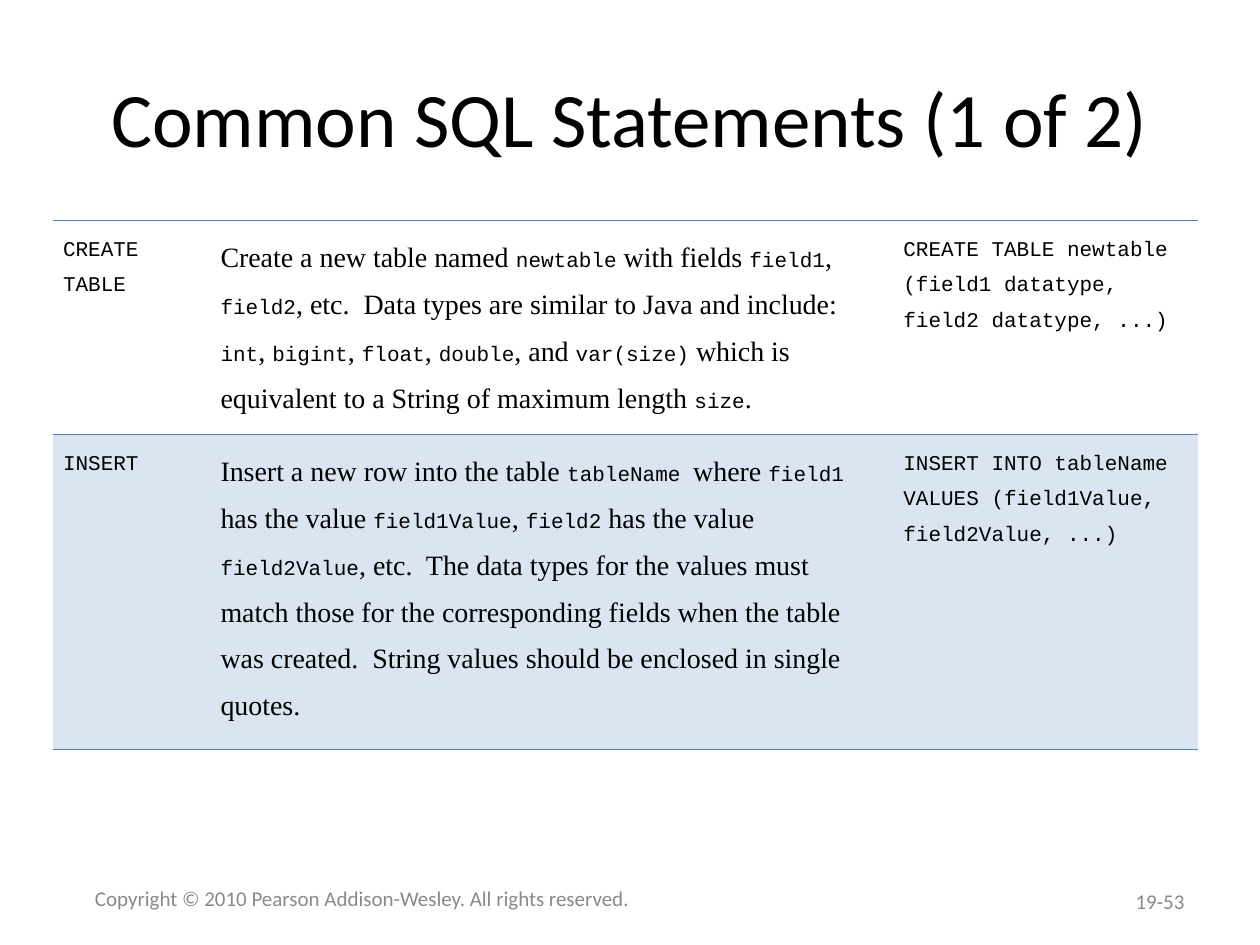
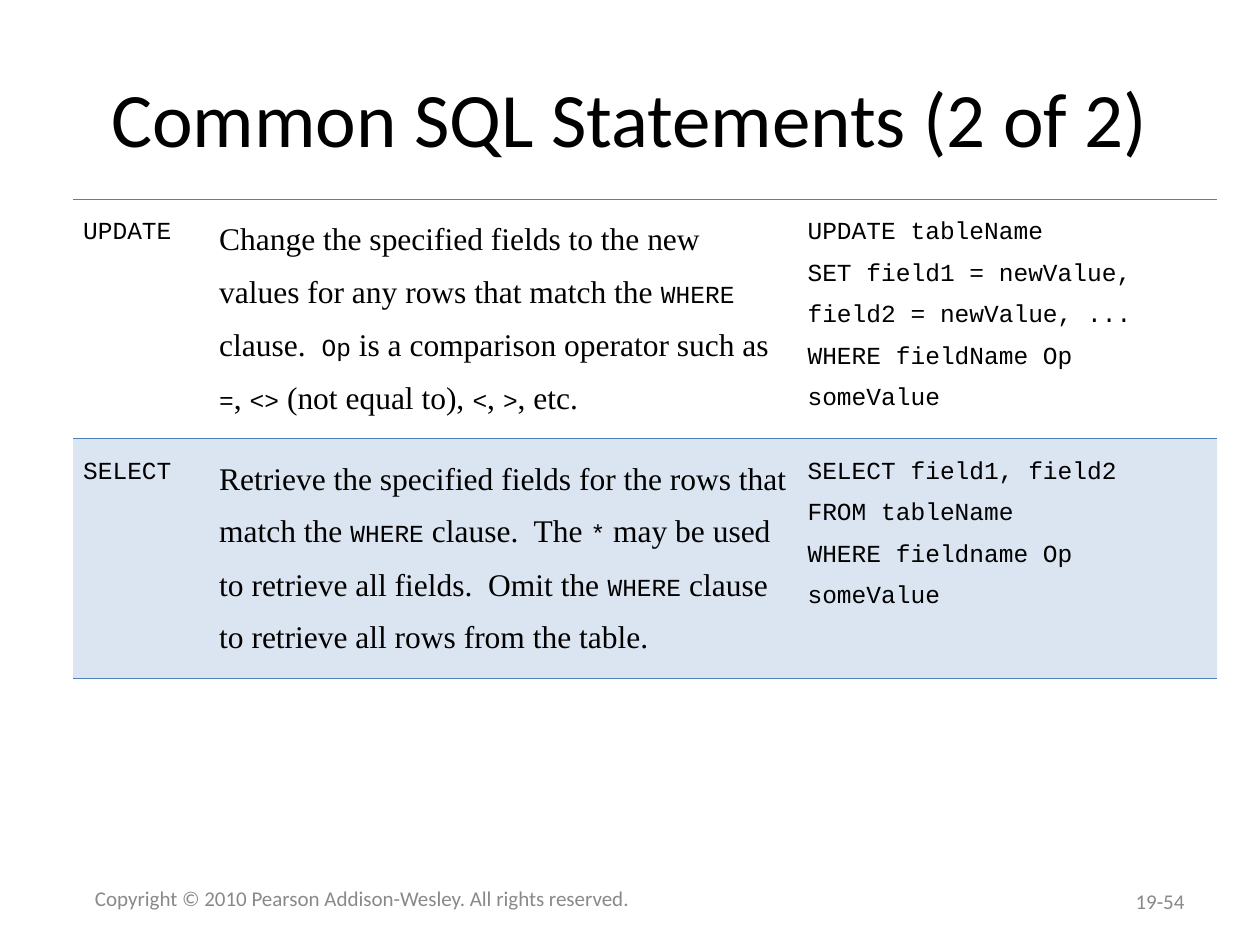
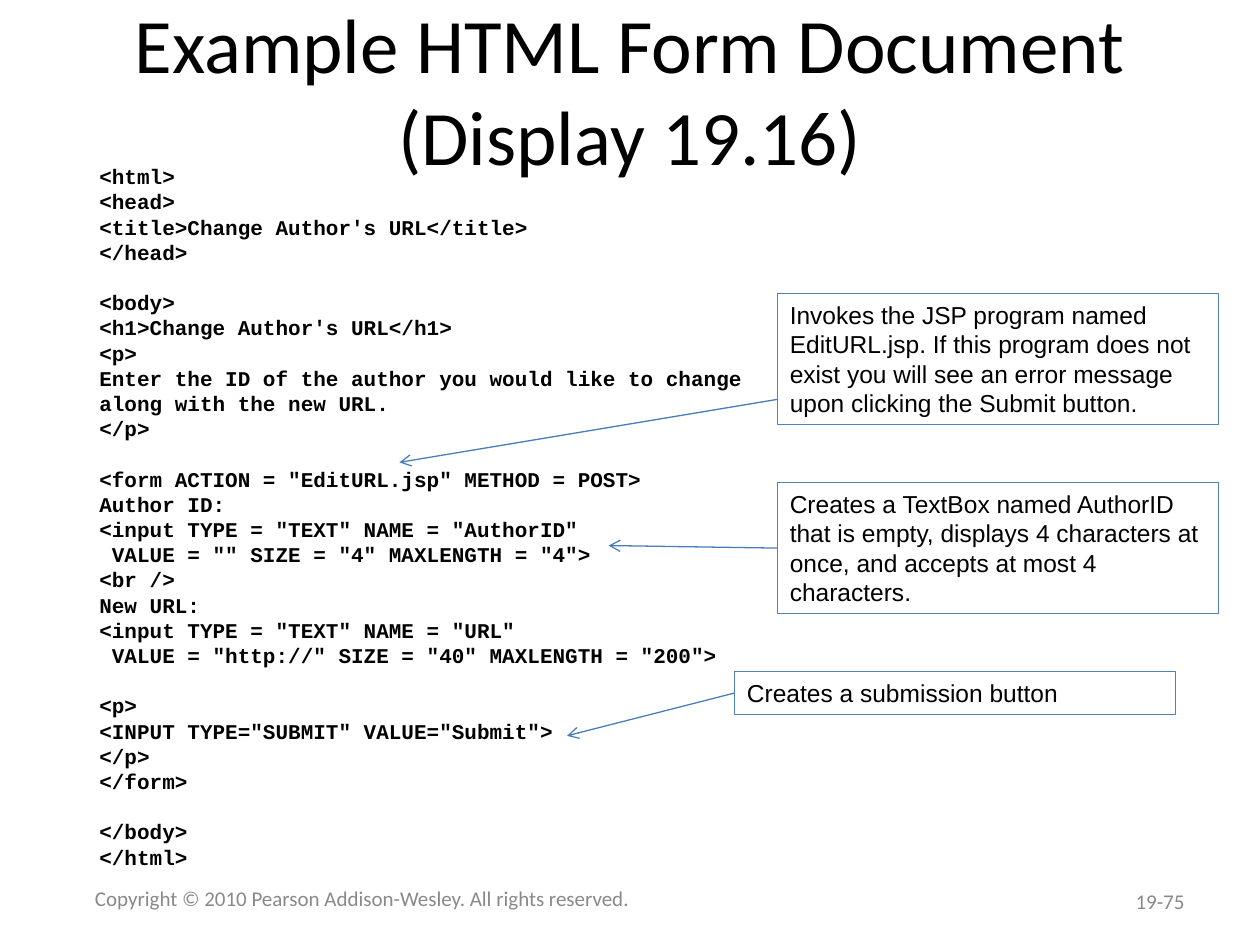
from dataclasses import dataclass
from typing import Any

from lxml.etree import SubElement
from pptx import Presentation
from pptx.dml.color import RGBColor
from pptx.enum.shapes import MSO_CONNECTOR, MSO_SHAPE
from pptx.enum.text import MSO_ANCHOR, MSO_AUTO_SIZE, PP_ALIGN
from pptx.oxml import parse_xml
from pptx.oxml.ns import nsdecls, qn
from pptx.util import Inches, Pt

BLACK = RGBColor(0x00, 0x00, 0x00)
GRAY = RGBColor(0x89, 0x89, 0x89)
BLUE = RGBColor(0x4F, 0x81, 0xBD)
ARROW_BLUE = RGBColor(0x4A, 0x7E, 0xBB)

TITLE_FONT = {"name": "Calibri", "size": Pt(44)}
FOOTER_FONT = {"name": "Calibri", "size": Pt(12)}
CODE_FONT = {"name": "Courier New", "size": Pt(12), "bold": True}
CALLOUT_FONT = {"name": "Arial", "size": Pt(14)}

COPYRIGHT = "Copyright © 2010 Pearson Addison-Wesley. All rights reserved."
NO_TABLE_STYLE = "{2D5ABB26-0587-4C30-8999-92F81FD0307C}"
CODE_LINE_HEIGHT = Pt(14.4)
LEFT_SIDE = 1


@dataclass
class StatementTable:
    """SQL statements as rows; text between backticks is code."""
    left: float
    top: float
    column_widths: list[float]
    row_heights: list[float]
    code_size: int
    text_size: int
    rows: list[list[str]]


@dataclass
class Callout:
    left: float
    top: float
    height: float
    text: str
    target: tuple[float, float]
    arrow_start: tuple[float, float] | None = None  # None: middle of the left side


CREATE_AND_INSERT = StatementTable(
    left=0.42, top=1.75, column_widths=[1.25, 5.42, 2.42], row_heights=[1.6, 2.4],
    code_size=12, text_size=16,
    rows=[
        ["`CREATE TABLE`",
         "Create a new table named `newtable` with fields `field1`, `field2`, etc.  Data types "
         "are similar to Java and include: `int`, `bigint`, `float`, `double`, and `var(size)` "
         "which is equivalent to a String of maximum length `size`.",
         "`CREATE TABLE newtable\n(field1 datatype, field2 datatype, ...)`"],
        ["`INSERT`",
         "Insert a new row into the table `tableName `where `field1` has the value "
         "`field1Value`, `field2` has the value `field2Value`, etc.  The data types for the "
         "values must match those for the corresponding fields when the table was created.  "
         "String values should be enclosed in single quotes.",
         "`INSERT INTO tableName\nVALUES (field1Value, field2Value, ...)`"],
    ])

UPDATE_AND_SELECT = StatementTable(
    left=0.58, top=1.58, column_widths=[1.08, 4.67, 3.33], row_heights=[1.8, 1.8],
    code_size=14, text_size=18,
    rows=[
        ["`UPDATE`",
         "Change the specified fields to the new values for any rows that match the `WHERE` "
         "clause.  `Op` is a comparison operator such as `=`, `<>` (not equal to), `<`, `>`, etc.",
         "`UPDATE tableName\nSET field1 = newValue, field2 = newValue, ...\n"
         "WHERE fieldName Op someValue`"],
        ["`SELECT`",
         "Retrieve the specified fields for the rows that match the `WHERE` clause.  The `*` "
         "may be used to retrieve all fields.  Omit the `WHERE` clause to retrieve all rows "
         "from the table.",
         "`SELECT field1, field2\nFROM tableName\nWHERE fieldname Op someValue`"],
    ])

FORM_CODE = """\
<html>
<head>
<title>Change Author's URL</title>
</head>

<body>
<h1>Change Author's URL</h1>
<p>
Enter the ID of the author you would like to change
along with the new URL.
</p>

<form ACTION = "EditURL.jsp" METHOD = POST>
Author ID:
<input TYPE = "TEXT" NAME = "AuthorID"
 VALUE = "" SIZE = "4" MAXLENGTH = "4">
<br />
New URL:
<input TYPE = "TEXT" NAME = "URL"
 VALUE = "http://" SIZE = "40" MAXLENGTH = "200">

<p>
<INPUT TYPE="SUBMIT" VALUE="Submit">
</p>
</form>

</body>
</html>"""

CALLOUTS = [
    Callout(6.17, 2.33, 1.04,
            "Invokes the JSP program named EditURL.jsp. If this program does not exist you "
            "will see an error message upon clicking the Submit button.",
            target=(3.17, 3.67), arrow_start=(6.17, 3.17)),
    Callout(6.17, 3.83, 1.04,
            "Creates a TextBox named AuthorID that is empty, displays 4 characters at once, "
            "and accepts at most 4 characters.",
            target=(4.83, 4.33)),
    Callout(5.83, 5.33, 0.34, "Creates a submission button", target=(4.5, 5.84)),
]


def set_font(font, formats: dict[str, Any], color: RGBColor = BLACK) -> None:
    for attribute, value in formats.items():
        setattr(font, attribute, value)
    font.color.rgb = color


def add_footer_text(slide, text: str, left: float, top: float, width: float, alignment) -> None:
    box = slide.shapes.add_textbox(Inches(left), Inches(top), Inches(width), Inches(0.4))
    frame = box.text_frame
    frame.word_wrap = True
    frame.vertical_anchor = MSO_ANCHOR.MIDDLE
    paragraph = frame.paragraphs[0]
    paragraph.text = text
    paragraph.alignment = alignment
    set_font(paragraph.font, FOOTER_FONT, GRAY)


def add_slide(presentation, title_text: str, page: str, title_top: float = 0.3):
    """Add a slide with its title, copyright line and page number."""
    slide = presentation.slides.add_slide(presentation.slide_layouts[5])
    title = slide.shapes.title
    title.left, title.top = Inches(0.5), Inches(title_top)
    title.width, title.height = Inches(9), Inches(1.25)
    frame = title.text_frame
    frame.auto_size = MSO_AUTO_SIZE.NONE
    frame.vertical_anchor = MSO_ANCHOR.MIDDLE
    paragraph = frame.paragraphs[0]
    paragraph.text = title_text
    paragraph.alignment = PP_ALIGN.CENTER
    set_font(paragraph.font, TITLE_FONT)
    add_footer_text(slide, page, 7.17, 6.95, 2.33, PP_ALIGN.RIGHT)
    add_footer_text(slide, COPYRIGHT, 0.5, 6.93, 4.75, PP_ALIGN.CENTER)
    return slide


def add_marked_text(paragraph, text: str, code_size: int, text_size: int) -> None:
    """Add runs, setting the parts between backticks as code."""
    for index, part in enumerate(text.split("`")):
        if not part:
            continue
        if index % 2:
            formats = {"name": "Courier New", "size": Pt(code_size)}
        else:
            formats = {"name": "Times New Roman", "size": Pt(text_size)}
        for line_number, line in enumerate(part.split("\n")):
            if line_number:
                paragraph.add_line_break()
            run = paragraph.add_run()
            run.text = line
            set_font(run.font, formats)


def format_cell(cell, shaded: bool) -> None:
    cell.margin_left = cell.margin_right = Inches(0.08)
    cell.margin_top = cell.margin_bottom = Inches(0.05)
    properties = cell._tc.get_or_add_tcPr()
    for side in ("lnT", "lnB"):
        properties.append(parse_xml(
            f'<a:{side} {nsdecls("a")} w="{Pt(0.45)}"><a:solidFill>'
            f'<a:srgbClr val="{BLUE}"/></a:solidFill></a:{side}>'))
    if shaded:
        cell.fill.solid()
        cell.fill.fore_color.rgb = BLUE
        color = properties.find(qn("a:solidFill")).find(qn("a:srgbClr"))
        SubElement(color, qn("a:alpha"), val="20000")
    else:
        cell.fill.background()


def add_statement_table(slide, content: StatementTable) -> None:
    table = slide.shapes.add_table(
        len(content.row_heights), len(content.column_widths),
        Inches(content.left), Inches(content.top),
        Inches(sum(content.column_widths)), Inches(sum(content.row_heights))).table
    table.first_row = table.horz_banding = False
    table._tbl.tblPr.find(qn("a:tableStyleId")).text = NO_TABLE_STYLE
    for column, width in zip(table.columns, content.column_widths):
        column.width = Inches(width)
    for row_index, (row, texts) in enumerate(zip(table.rows, content.rows)):
        row.height = Inches(content.row_heights[row_index])
        for cell, text in zip(row.cells, texts):
            format_cell(cell, shaded=row_index % 2 == 1)
            paragraph = cell.text_frame.paragraphs[0]
            paragraph.line_spacing = 1.5
            add_marked_text(paragraph, text, content.code_size, content.text_size)


def add_code(slide, code: str) -> None:
    """Add the code line by line; an empty line becomes space before the next one."""
    box = slide.shapes.add_textbox(Inches(0.69), Inches(1.25), Inches(5.3), Inches(5.9))
    frame = box.text_frame
    frame.word_wrap = False
    frame.auto_size = MSO_AUTO_SIZE.SHAPE_TO_FIT_TEXT
    previous = None
    for line in code.splitlines():
        if line:
            paragraph = frame.paragraphs[0] if previous is None else frame.add_paragraph()
            paragraph.text = line
            paragraph.line_spacing = CODE_LINE_HEIGHT
            if previous == "":
                paragraph.space_before = CODE_LINE_HEIGHT
            set_font(paragraph.font, CODE_FONT)
        previous = line


def add_callout(slide, callout: Callout) -> None:
    """Add a framed note and the arrow from it to the code."""
    box = slide.shapes.add_shape(
        MSO_SHAPE.RECTANGLE, Inches(callout.left), Inches(callout.top),
        Inches(3.5), Inches(callout.height))
    box.shadow.inherit = False
    box.fill.background()
    box.line.color.rgb = BLUE
    box.line.width = Pt(0.75)
    frame = box.text_frame
    frame.word_wrap = True
    frame.vertical_anchor = MSO_ANCHOR.TOP
    paragraph = frame.paragraphs[0]
    paragraph.text = callout.text
    paragraph.alignment = PP_ALIGN.LEFT
    set_font(paragraph.font, CALLOUT_FONT)

    start = callout.arrow_start or (callout.left, callout.top + callout.height / 2)
    arrow = slide.shapes.add_connector(
        MSO_CONNECTOR.STRAIGHT, *(Inches(value) for value in start + callout.target))
    if callout.arrow_start is None:
        arrow.begin_connect(box, LEFT_SIDE)
    arrow.line.color.rgb = ARROW_BLUE
    arrow.line.width = Pt(0.75)
    SubElement(arrow.line._get_or_add_ln(), qn("a:tailEnd"), type="arrow")
    SubElement(arrow._element.spPr, qn("a:effectLst"))


def main() -> None:
    presentation = Presentation()
    presentation.slide_width, presentation.slide_height = Inches(10), Inches(7.5)

    slide = add_slide(presentation, "Common SQL Statements (1 of 2)", "19-53")
    add_statement_table(slide, CREATE_AND_INSERT)

    slide = add_slide(presentation, "Common SQL Statements (2 of 2)", "19-54")
    add_statement_table(slide, UPDATE_AND_SELECT)

    slide = add_slide(presentation, "Example HTML Form Document\v(Display 19.16)", "19-75",
                      title_top=0.08)
    add_code(slide, FORM_CODE)
    for callout in CALLOUTS:
        add_callout(slide, callout)

    presentation.save("out.pptx")


if __name__ == "__main__":
    main()
